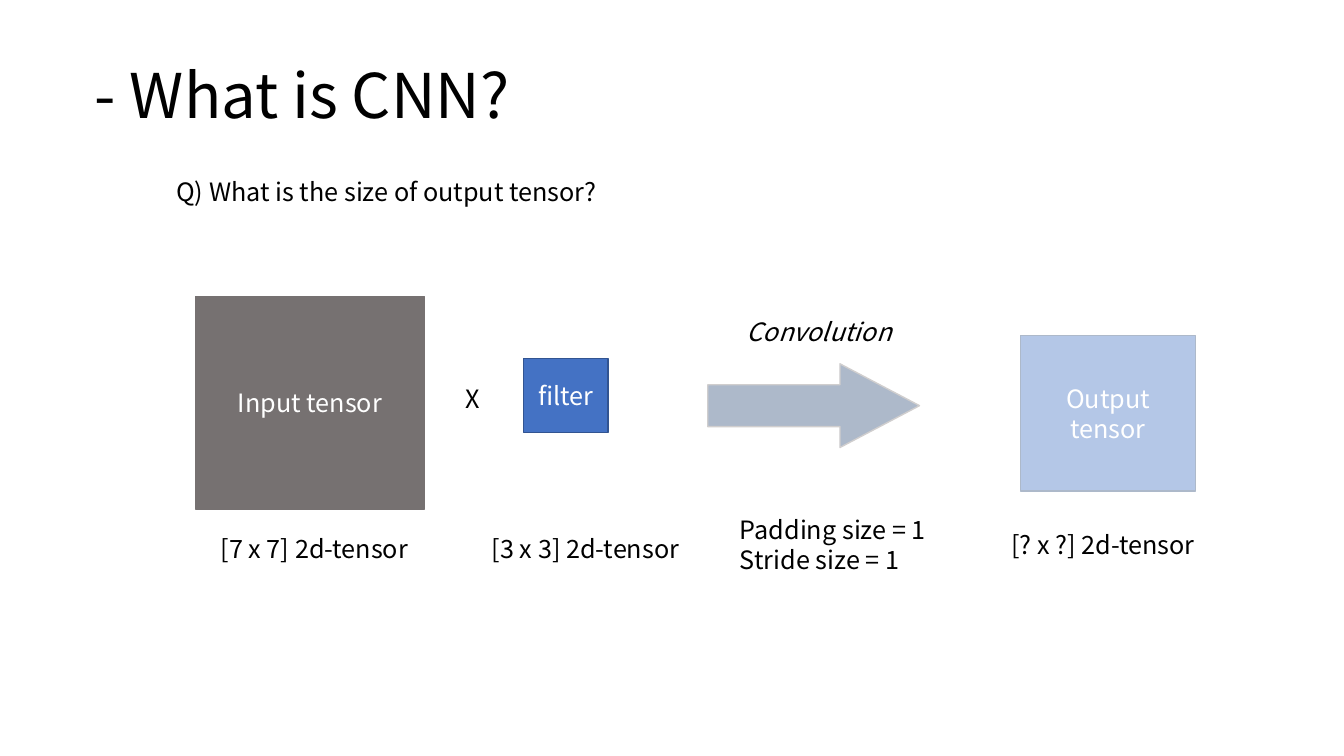
import pptx
import pptx.util
from pptx.dml.color import RGBColor
from pptx.enum.shapes import MSO_SHAPE
from pptx.enum.text import MSO_ANCHOR, PP_ALIGN

Inches = pptx.util.Inches
Pt = pptx.util.Pt

FONT = "Noto Sans CJK KR"
BLACK, WHITE = "000000", "FFFFFF"
TITLE = "- What is CNN?"

BOXES = [
    ("Input tensor", (1.94, 2.94, 2.27, 2.11), "767171", "767171"),
    ("filter", (5.19, 3.56, 0.84, 0.73), "4472C4", "325491"),
    ("Output tensor", (10.12, 3.33, 1.74, 1.54), "B4C7E7", "ADB9CA"),
]
ARROW = ((7.02, 3.61, 2.1, 0.83), "ADB9CA", "D0CECE")
LABELS = [
    ("Q) What is the size of output tensor?", (1.65, 1.7, 5.32, 0.4), False),
    ("X", (4.52, 3.75, 0.66, 0.4), False),
    ("[7 x 7] 2d-tensor", (2.09, 5.24, 2.69, 0.4), False),
    ("[3 x 3] 2d-tensor", (4.78, 5.24, 2.69, 0.4), False),
    ("Convolution", (7.31, 3.09, 2.1, 0.4), True),
    ("Padding size = 1\nStride size = 1", (7.24, 5.05, 2.61, 0.71), False),
    ("[? x ?] 2d-tensor", (9.93, 5.2, 2.61, 0.4), False),
]


def color(code):
    return RGBColor.from_string(code)


def place(area):
    return [Inches(n) for n in area]


def write(frame, text, size, code, align=PP_ALIGN.LEFT, slant=False):
    frame.text = text
    frame.word_wrap = True
    for para in frame.paragraphs:
        para.alignment = align
        for run in para.runs:
            run.font.name = FONT
            run.font.size = Pt(size)
            run.font.italic = slant
            run.font.color.rgb = color(code)


def draw(slide, kind, area, fill, edge):
    shape = slide.shapes.add_shape(kind, *place(area))
    shape.shadow.inherit = False
    shape.fill.solid()
    shape.fill.fore_color.rgb = color(fill)
    shape.line.color.rgb = color(edge)
    shape.line.width = Pt(1)
    return shape


def main():
    deck = pptx.Presentation()
    deck.slide_width, deck.slide_height = Inches(13.33), Inches(7.5)
    slide = deck.slides.add_slide(deck.slide_layouts[5])

    title = slide.shapes.title
    title.left, title.top, title.width, title.height = place((0.84, 0.25, 11.5, 1.45))
    write(title.text_frame, TITLE, 44, BLACK)
    title.text_frame.vertical_anchor = MSO_ANCHOR.MIDDLE
    title.text_frame.paragraphs[0].line_spacing = 0.9

    for text, area, fill, edge in BOXES:
        box = draw(slide, MSO_SHAPE.RECTANGLE, area, fill, edge)
        write(box.text_frame, text, 18, WHITE, PP_ALIGN.CENTER)
        box.text_frame.vertical_anchor = MSO_ANCHOR.MIDDLE

    arrow = draw(slide, MSO_SHAPE.RIGHT_ARROW, *ARROW)
    arrow.adjustments[0] = 0.5
    arrow.adjustments[1] = 0.95

    for text, area, slant in LABELS:
        label = slide.shapes.add_textbox(*place(area))
        write(label.text_frame, text, 18, BLACK, slant=slant)

    deck.save("out.pptx")


if __name__ == "__main__":
    main()
